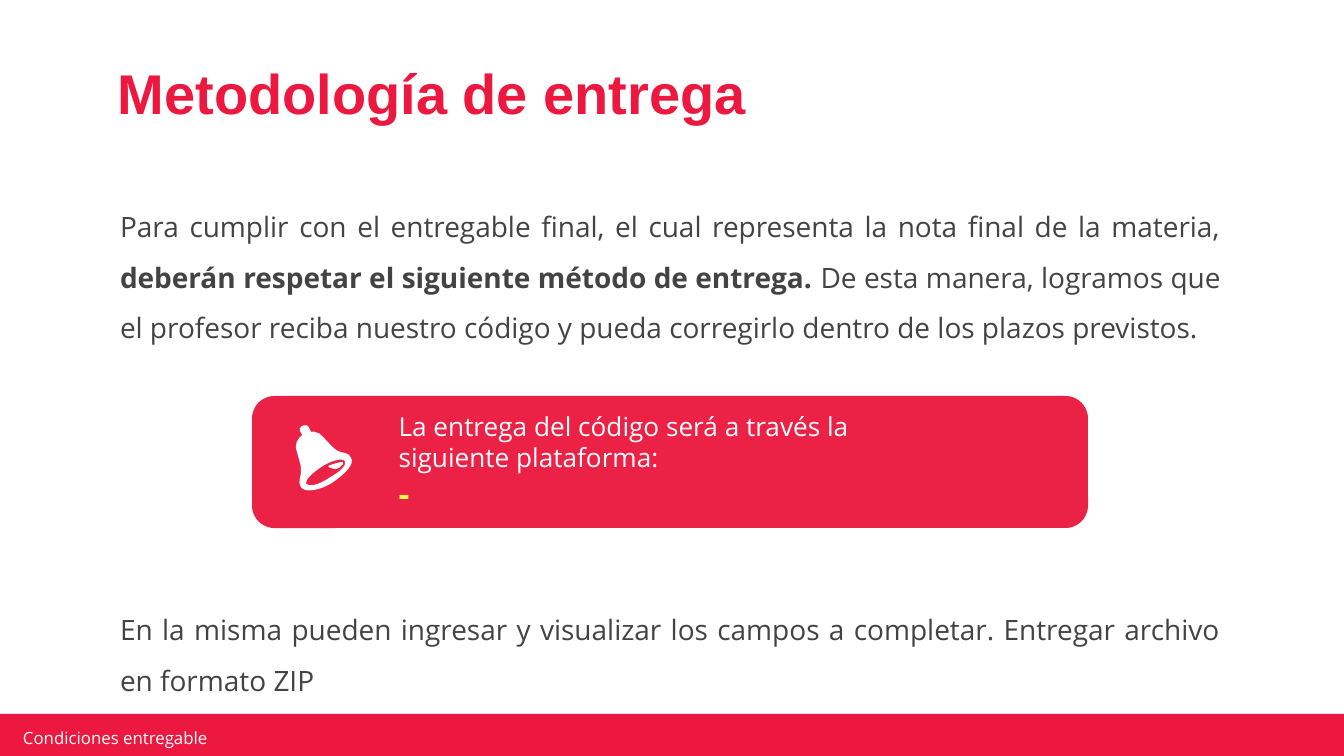
from lxml import etree
from pptx import Presentation
from pptx.dml.color import RGBColor
from pptx.enum.dml import MSO_LINE
from pptx.enum.shapes import MSO_CONNECTOR, MSO_SHAPE
from pptx.enum.text import MSO_ANCHOR, MSO_AUTO_SIZE, PP_ALIGN
from pptx.oxml.ns import qn
from pptx.util import Pt

RECT, ROUNDED = MSO_SHAPE.RECTANGLE, MSO_SHAPE.ROUNDED_RECTANGLE
STRAIGHT, DOTTED = MSO_CONNECTOR.STRAIGHT, MSO_LINE.ROUND_DOT
TOP, MIDDLE = MSO_ANCHOR.TOP, MSO_ANCHOR.MIDDLE
LEFT, JUSTIFY = PP_ALIGN.LEFT, PP_ALIGN.JUSTIFY
NO_AUTOFIT = MSO_AUTO_SIZE.NONE

RED = RGBColor(0xEC, 0x18, 0x3F)
PINK = RGBColor(0xFC, 0xD8, 0xD6)
WHITE = RGBColor(0xFF, 0xFF, 0xFF)
GRAY = RGBColor(0x43, 0x43, 0x43)
LIME = RGBColor(0xEE, 0xFF, 0x41)
BODY_FONT, TITLE_FONT = "Open Sans", "Arial"

EMU_PER_PX = 914400 / 134.4
SLIDE_W, SLIDE_H = 1344, 756
MARGIN, COLUMN_W = 106, 1129
FOOTER_LEFT, FOOTER_TOP, FOOTER_W, FOOTER_H = -3, 714, 1348, 48

TITLE = "Metodología de entrega"
FOOTER = "Condiciones entregable"
# top, height, runs of (text, bold)
BODY = [
    (187, 200, [
        ("Para cumplir con el entregable final, el cual representa la nota "
         "final de la materia, ", False),
        ("deberán respetar el siguiente método de entrega. ", True),
        ("De esta manera, logramos que el profesor reciba nuestro código y "
         "pueda corregirlo dentro de los plazos previstos.", False)]),
    (590, 125, [
        ("En la misma pueden ingresar y visualizar los campos a completar. "
         "Entregar archivo en formato ZIP", False)]),
]
# text, size, colour, bold
NOTICE = [
    ("La entrega del código será a través la", 14, WHITE, False),
    ("siguiente plataforma:", 14, WHITE, False),
    ("-", 18, LIME, True),
]
# Each contour: start point, then cubic curves as two controls and an end
BELL_HANDLE = [((300, 431), [
    (299, 430, 300, 427, 302, 426), (305, 425, 308, 425, 308, 426),
    (308, 426, 320, 448, 320, 448), (321, 449, 320, 450, 317, 452),
    (314, 453, 312, 454, 312, 453), (312, 452, 300, 431, 300, 431)])]
BELL_BODY = [
    ((329, 478), [
        (319, 485, 309, 487, 306, 484), (305, 480, 312, 473, 323, 466),
        (333, 460, 343, 458, 345, 461), (347, 465, 340, 472, 329, 478)]),
    ((351, 458), [
        (348, 451, 341, 454, 336, 450), (331, 446, 327, 441, 323, 437),
        (319, 431, 310, 430, 304, 434), (297, 438, 294, 445, 297, 452),
        (298, 457, 301, 464, 301, 469), (302, 476, 297, 481, 301, 487),
        (304, 493, 319, 491, 332, 483), (345, 474, 355, 464, 351, 458)]),
]
BELL_CLAPPER = [((328, 466), [
    (333, 464, 339, 462, 343, 462), (343, 464, 343, 465, 341, 466),
    (339, 469, 335, 470, 331, 468), (329, 468, 329, 467, 328, 466)])]


def px(value):
    """Turn pixels into EMU."""
    return round(value * EMU_PER_PX)


def paint(shape, color):
    """Give a shape a flat fill with no line or shadow."""
    shape.shadow.inherit = False
    shape.fill.solid()
    shape.fill.fore_color.rgb = color
    shape.line.fill.background()


def style(paragraph, size, color, font=BODY_FONT, bold=None, align=LEFT, spacing=None):
    """Format a whole paragraph."""
    paragraph.font.size, paragraph.font.name = Pt(size), font
    paragraph.font.color.rgb, paragraph.font.bold = color, bold
    paragraph.alignment, paragraph.line_spacing = align, spacing


def set_frame(frame, anchor, left, top, right, bottom):
    """Set wrapping, anchor and insets of a text frame."""
    frame.word_wrap, frame.auto_size = True, NO_AUTOFIT
    frame.vertical_anchor = anchor
    frame.margin_left, frame.margin_top = px(left), px(top)
    frame.margin_right, frame.margin_bottom = px(right), px(bottom)


def add_text(slide, x, y, w, h, anchor, inset_x, inset_y):
    """Add a text box and return its frame."""
    frame = slide.shapes.add_textbox(px(x), px(y), px(w), px(h)).text_frame
    set_frame(frame, anchor, inset_x, inset_y, inset_x, inset_y)
    return frame


def add_title(slide):
    """Place and format the title placeholder."""
    title = slide.shapes.title
    title.left, title.top = px(MARGIN), px(34)
    title.width, title.height = px(COLUMN_W), px(125)
    set_frame(title.text_frame, MIDDLE, 12, 6, 12, 6)
    title.text_frame.text = TITLE
    style(title.text_frame.paragraphs[0], 30, RED, TITLE_FONT, True, spacing=0.9)


def add_footer(slide):
    """Draw the footer rule, band and label."""
    rule_y = px(FOOTER_TOP + 1)
    rule = slide.shapes.add_connector(
        STRAIGHT, px(FOOTER_LEFT), rule_y, px(FOOTER_LEFT + FOOTER_W), rule_y)
    rule.line.color.rgb, rule.line.width = PINK, Pt(0.75)
    rule.line.dash_style = DOTTED
    etree.SubElement(rule._element.spPr, qn("a:effectLst"))
    band = slide.shapes.add_shape(
        RECT, px(FOOTER_LEFT), px(FOOTER_TOP), px(FOOTER_W), px(FOOTER_H))
    paint(band, RED)
    frame = add_text(slide, 16, 728, 321, 20, MIDDLE, 7, 3)
    frame.text = FOOTER
    style(frame.paragraphs[0], 9, WHITE)


def add_body(slide, top, height, runs):
    """Add one justified body paragraph."""
    paragraph = add_text(slide, MARGIN, top, COLUMN_W, height, TOP, 14, 6).paragraphs[0]
    style(paragraph, 15, GRAY, align=JUSTIFY, spacing=1.5)
    for text, bold in runs:
        run = paragraph.add_run()
        run.text, run.font.bold = text, bold


def add_notice(slide):
    """Draw the rounded notice card with its text."""
    card = slide.shapes.add_shape(ROUNDED, px(252), px(396), px(836), px(132))
    card.adjustments[0] = 0.17
    paint(card, RED)
    color = card.fill._xPr.find(qn("a:solidFill"))[0]
    etree.SubElement(color, qn("a:alpha")).set("val", "96000")
    frame = card.text_frame
    set_frame(frame, MIDDLE, 140, 13, 13, 13)
    for i, (text, size, text_color, bold) in enumerate(NOTICE):
        paragraph = frame.add_paragraph() if i else frame.paragraphs[0]
        paragraph.text = text
        style(paragraph, size, text_color, bold=bold)


def add_outline(slide, contours):
    """Draw one white shape whose segments are cubic curves."""
    builder = None
    for start, curves in contours:
        x, y = px(start[0]), px(start[1])
        if builder is None:
            builder = slide.shapes.build_freeform(x, y)
        else:
            builder.move_to(x, y)
        builder.add_line_segments([(px(c[4]), px(c[5])) for c in curves], close=True)
    shape = builder.convert_to_shape()
    paint(shape, WHITE)
    all_curves = [curve for _, curves in contours for curve in curves]
    segments = list(shape._element.iter(qn("a:lnTo")))
    for segment, curve in zip(segments, all_curves):
        bezier = etree.Element(qn("a:cubicBezTo"))
        for x, y in zip(curve[::2], curve[1::2]):
            point = etree.SubElement(bezier, qn("a:pt"))
            point.set("x", str(px(x) - shape.left))
            point.set("y", str(px(y) - shape.top))
        segment.getparent().replace(segment, bezier)


def main():
    """Build and save the slide."""
    deck = Presentation()
    deck.slide_width, deck.slide_height = px(SLIDE_W), px(SLIDE_H)
    slide = deck.slides.add_slide(deck.slide_layouts[5])
    add_footer(slide)
    add_title(slide)
    add_notice(slide)
    for part in (BELL_HANDLE, BELL_BODY, BELL_CLAPPER):
        add_outline(slide, part)
    for top, height, runs in BODY:
        add_body(slide, top, height, runs)
    deck.save("out.pptx")


main()
